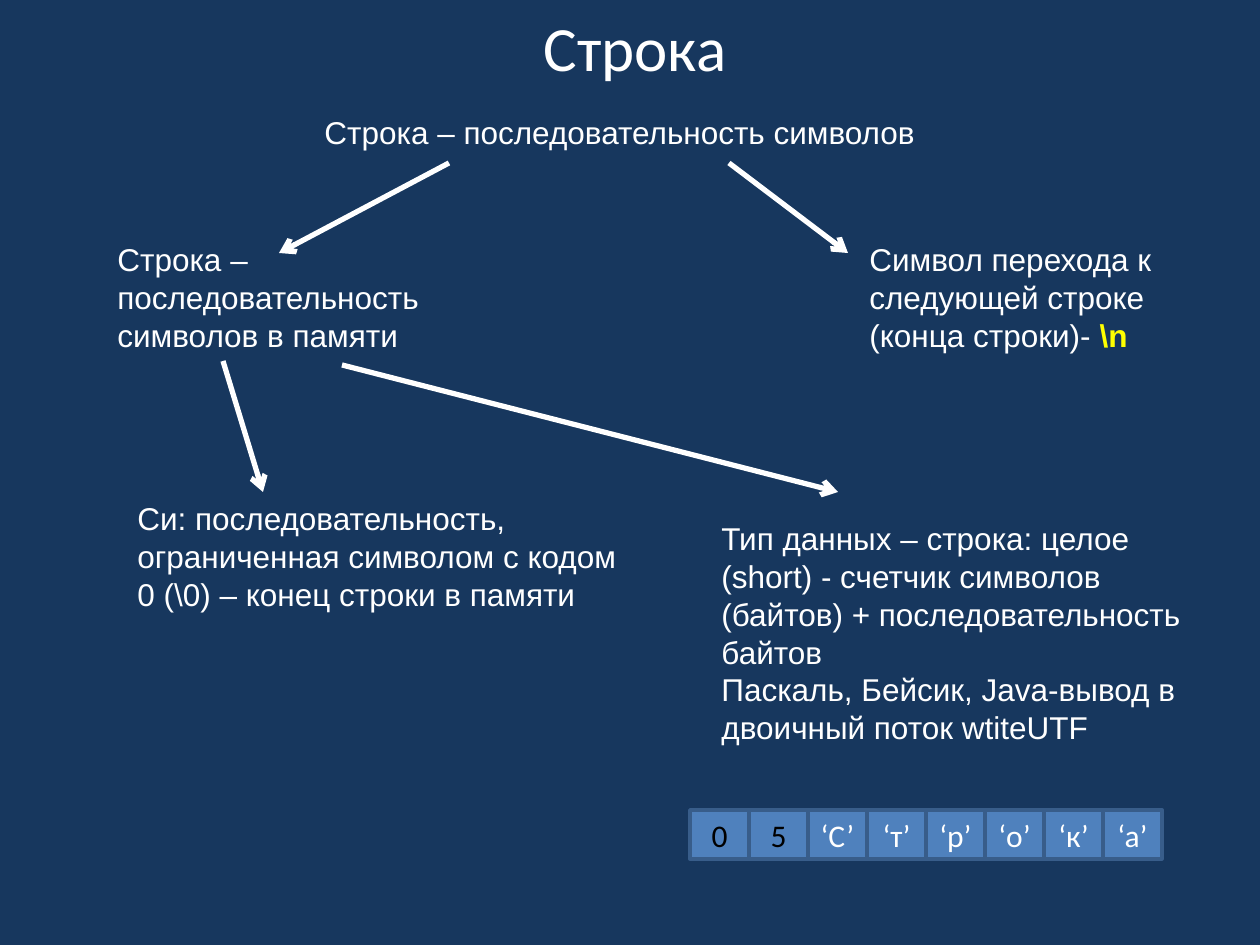
from lxml import etree
from pptx import Presentation
from pptx import util as u
from pptx.dml.color import RGBColor
from pptx.enum import shapes, text
from pptx.oxml.ns import qn

NAVY = RGBColor(0x17, 0x37, 0x5E)
WHITE = RGBColor(0xFF, 0xFF, 0xFF)
BLACK = RGBColor(0, 0, 0)
YELLOW = RGBColor(0xFF, 0xFF, 0)
BLUE = RGBColor(0x4F, 0x81, 0xBD)
EDGE = RGBColor(0x38, 0x5D, 0x8A)


def px(*lengths):
    """Turn pixels (126 to the inch) into EMU."""
    return [u.Emu(round(n * 914400 / 126)) for n in lengths]


def add_run(paragraph, words, *, size=18, font="Arial", color=WHITE, bold=False):
    run = paragraph.add_run()
    run.text = words
    run.font.size = u.Pt(size)
    run.font.name = font
    run.font.color.rgb = color
    run.font.bold = bold


class SlideBuilder:
    def __init__(self, slide):
        self.slide = slide
        fill = slide.background.fill
        fill.solid()
        fill.fore_color.rgb = NAVY

    def title(self, words, *box):
        heading = self.slide.shapes.title
        heading.left, heading.top, heading.width, heading.height = px(*box)
        frame = heading.text_frame
        frame.auto_size = text.MSO_AUTO_SIZE.NONE
        frame.vertical_anchor = text.MSO_ANCHOR.MIDDLE
        line = frame.paragraphs[0]
        line.alignment = text.PP_ALIGN.CENTER
        line.line_spacing = 0.8
        add_run(line, words, size=36, font="Calibri")

    def note(self, paragraphs, *box, align=text.PP_ALIGN.LEFT):
        """Each paragraph is a list of (words, format) runs."""
        frame = self.slide.shapes.add_textbox(*px(*box)).text_frame
        frame.word_wrap = True
        frame.auto_size = text.MSO_AUTO_SIZE.SHAPE_TO_FIT_TEXT
        for index, runs in enumerate(paragraphs):
            paragraph = frame.add_paragraph() if index else frame.paragraphs[0]
            paragraph.alignment = align
            for words, style in runs:
                add_run(paragraph, words, **style)

    def arrow(self, *ends):
        arrow = self.slide.shapes.add_connector(shapes.MSO_CONNECTOR.STRAIGHT, *px(*ends))
        arrow.line.color.rgb = WHITE
        arrow.line.width = u.Pt(3)
        etree.SubElement(arrow.line._get_or_add_ln(), qn("a:tailEnd"), type="arrow")
        etree.SubElement(arrow._element.spPr, qn("a:effectLst"))

    def cell(self, symbol, color, *box):
        cell = self.slide.shapes.add_shape(shapes.MSO_SHAPE.RECTANGLE, *px(*box))
        cell.shadow.inherit = False
        cell.fill.solid()
        cell.fill.fore_color.rgb = BLUE
        cell.line.color.rgb = EDGE
        cell.line.width = u.Pt(2)
        frame = cell.text_frame
        frame.word_wrap = False
        frame.vertical_anchor = text.MSO_ANCHOR.MIDDLE
        frame.paragraphs[0].alignment = text.PP_ALIGN.CENTER
        add_run(frame.paragraphs[0], symbol, font="Calibri", color=color)


def main():
    deck = Presentation()
    deck.slide_width, deck.slide_height = px(1260, 945)
    page = SlideBuilder(deck.slides.add_slide(deck.slide_layouts[5]))

    # Title and definition
    page.title("Строка", 68, 24, 1134, 59)
    page.note([[("Строка – последовательность символов", {})]],
              312, 107, 624, 50, align=text.PP_ALIGN.JUSTIFY)

    # Two meanings of the word
    page.note([[("Символ перехода к следующей строке (конца строки)- ", {}),
                ("\\n", {"color": YELLOW, "bold": True})]], 857, 234, 348, 126)
    page.note([[("Строка – последовательность символов в памяти", {})]],
              105, 234, 343, 126)

    # Two ways of storing it in memory
    page.note([[("Си: последовательность, ограниченная символом с кодом 0 (\\0) "
                 "– конец строки в памяти", {})]], 125, 493, 510, 126)
    page.note([[("Тип данных – строка: целое (short) - счетчик символов (байтов) "
                 "+ последовательность байтов", {})],
               [("Паскаль, Бейсик, Java-вывод в двоичный поток wtiteUTF", {})]],
              709, 513, 510, 239)

    # Branches
    for ends in ((449, 163, 279, 253), (729, 163, 848, 253),
                 (223, 361, 263, 492), (342, 365, 838, 492)):
        page.arrow(*ends)

    # Bytes in memory: two for the length, then the characters
    length = ["0", "5"]
    characters = ["‘C’", "‘т’", "‘р’", "‘о’", "‘к’", "‘a’"]
    width = 59
    for index, symbol in enumerate(length + characters):
        color = BLACK if index < len(length) else WHITE
        page.cell(symbol, color, 690 + index * width, 810, width, 49)

    deck.save("out.pptx")


if __name__ == "__main__":
    main()
